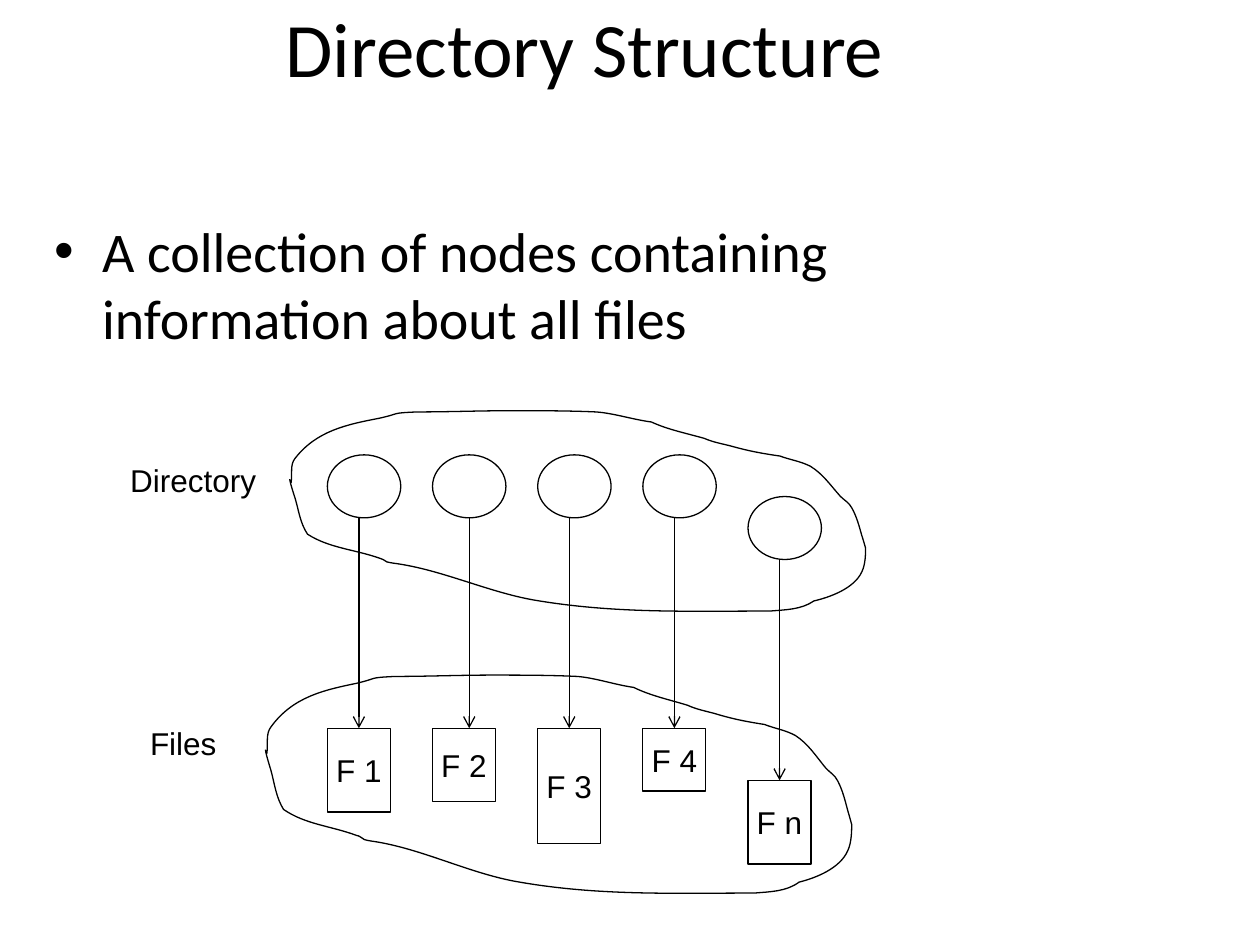
"""Build the Directory Structure slide."""
from dataclasses import dataclass

from lxml.etree import SubElement
from pptx import Presentation
from pptx.dml.color import RGBColor
from pptx.enum.shapes import MSO_CONNECTOR as Connector, MSO_SHAPE as Preset
from pptx.enum.text import MSO_ANCHOR as Anchor, MSO_AUTO_SIZE as AutoSize, PP_ALIGN as Align
from pptx.oxml.ns import qn
from pptx.util import Cm, Pt


@dataclass(frozen=True)
class Theme:
    ink: RGBColor = RGBColor(0, 0, 0)
    paper: RGBColor = RGBColor(255, 255, 255)
    heading_font: str = "Calibri"
    diagram_font: str = "Arial"
    title_size: Pt = Pt(44)
    body_size: Pt = Pt(32)
    diagram_size: Pt = Pt(18)
    stroke: Pt = Pt(0.75)


THEME = Theme()
FIRST_LEFT, PITCH = 6.6, 2.12
NODE_WIDTH, NODE_HEIGHT, FILE_WIDTH = 1.48, 1.27, 1.27
FILES = [
    ("F 1", 9.17, 14.68, 1.69),
    ("F 2", 9.17, 14.68, 1.48),
    ("F 3", 9.17, 14.68, 2.33),
    ("F 4", 9.17, 14.68, 1.27),
    ("F n", 10.01, 15.73, 1.69),
]
OFF_CENTRE_FILE = "F 2"
CLOUD_GRID = (458, 161)
CLOUD_START = (2, 57)
CLOUD_CURVES = [
    (3, 50, 1, 43, 5, 38), (22, 16, 46, 11, 72, 6), (90, 2, 80, 2, 102, 1),
    (127, 1, 152, 0, 177, 0), (199, 0, 222, 0, 244, 1), (258, 2, 273, 7, 288, 9),
    (301, 15, 316, 18, 330, 22), (337, 25, 343, 26, 351, 28), (365, 32, 376, 34, 390, 36),
    (398, 39, 406, 40, 414, 44), (424, 50, 430, 59, 438, 68), (441, 71, 445, 73, 447, 77),
    (451, 84, 453, 92, 455, 99), (456, 102, 458, 109, 458, 109),
    (458, 113, 458, 122, 455, 128), (449, 141, 430, 148, 417, 151),
    (407, 158, 394, 158, 382, 159), (318, 159, 261, 161, 199, 151),
    (160, 145, 122, 126, 83, 121), (81, 121, 79, 120, 78, 120),
    (76, 119, 74, 117, 72, 117), (52, 110, 32, 109, 15, 98), (9, 89, 8, 79, 5, 69),
    (5, 69, 1, 57, 1, 55), (0, 54, 2, 56, 2, 57),
]


def place(shape, left, top, width, height):
    shape.left, shape.top, shape.width, shape.height = map(Cm, (left, top, width, height))


def write(frame, text, font, size, align):
    frame.text = text
    paragraph = frame.paragraphs[0]
    paragraph.alignment = align
    style = paragraph.runs[0].font
    style.name, style.size = font, size
    style.color.rgb = THEME.ink


def write_centred(frame, text):
    frame.word_wrap = False
    frame.vertical_anchor = Anchor.MIDDLE
    write(frame, text, THEME.diagram_font, THEME.diagram_size, Align.CENTER)


def draw_stroke(item):
    item.line.color.rgb = THEME.ink
    item.line.width = THEME.stroke


def add_outlined(shapes, preset, left, top, width, height):
    outlined = shapes.add_shape(preset, *map(Cm, (left, top, width, height)))
    outlined.shadow.inherit = False
    outlined.fill.solid()
    outlined.fill.fore_color.rgb = THEME.paper
    draw_stroke(outlined)
    return outlined


def add_arrow(shapes, x, top, bottom):
    arrow = shapes.add_connector(Connector.STRAIGHT, Cm(x), Cm(top), Cm(x), Cm(bottom))
    draw_stroke(arrow)
    properties = arrow._element.spPr
    SubElement(properties.find(qn("a:ln")), qn("a:tailEnd"), type="arrow")
    SubElement(properties, qn("a:effectLst"))
    return arrow


def curve_segments(freeform):
    outline = next(freeform._element.iter(qn("a:path")))
    segments = outline.findall(qn("a:lnTo"))
    for first in range(0, len(segments), 3):
        curve = SubElement(outline, qn("a:cubicBezTo"))
        for segment in segments[first:first + 3]:
            curve.append(segment[0])
            outline.remove(segment)
    outline.append(outline.find(qn("a:close")))


def add_cloud(shapes, left, top, width, height):
    columns, rows = CLOUD_GRID
    pairs = [pair for curve in CLOUD_CURVES for pair in zip(curve[::2], curve[1::2])]
    start, *rest = [
        (Cm(left + x * width / columns), Cm(top + y * height / rows))
        for x, y in [CLOUD_START, *pairs]
    ]
    builder = shapes.build_freeform(*start)
    builder.add_line_segments(rest, close=True)
    cloud = builder.convert_to_shape()
    curve_segments(cloud)
    cloud.shadow.inherit = False
    cloud.fill.background()
    draw_stroke(cloud)


def add_label(shapes, text, left, top, width, height):
    label = shapes.add_textbox(*map(Cm, (left, top, width, height)))
    write_centred(label.text_frame, text)
    label.text_frame.auto_size = AutoSize.SHAPE_TO_FIT_TEXT


def add_diagram(shapes):
    lefts = [FIRST_LEFT + PITCH * column for column in range(len(FILES))]
    for left, (_, node_top, _, _) in zip(lefts, FILES):
        add_outlined(shapes, Preset.OVAL, left, node_top, NODE_WIDTH, NODE_HEIGHT)
    boxes = []
    for left, (name, _, file_top, height) in zip(lefts, FILES):
        box = add_outlined(shapes, Preset.RECTANGLE, left, file_top, FILE_WIDTH, height)
        write_centred(box.text_frame, name)
        boxes.append(box)
    for left, box, (name, node_top, file_top, _) in zip(lefts, boxes, FILES):
        off_centre = name == OFF_CENTRE_FILE
        x = left + (NODE_WIDTH if off_centre else FILE_WIDTH) / 2
        arrow = add_arrow(shapes, x, node_top + NODE_HEIGHT, file_top)
        if not off_centre:
            arrow.end_connect(box, 0)
    add_cloud(shapes, 5.82, 8.28, 11.63, 4.09)
    add_cloud(shapes, 5.33, 13.61, 11.84, 4.45)
    add_label(shapes, "Directory", 2.37, 9.17, 3.05, 1.02)
    add_label(shapes, "Files", 2.77, 14.46, 1.85, 1.02)


def main():
    deck = Presentation()
    deck.slide_width, deck.slide_height = Cm(25.4), Cm(19.05)
    slide = deck.slides.add_slide(deck.slide_layouts[1])
    title, body = slide.placeholders
    place(title, 1.31, -0.87, 20.96, 3.61)
    title.text_frame.vertical_anchor = Anchor.MIDDLE
    write(title.text_frame, "Directory Structure",
          THEME.heading_font, THEME.title_size, Align.CENTER)
    place(body, 0.85, 4.24, 21.29, 2.74)
    write(body.text_frame, "A collection of nodes containing information about all files",
          THEME.heading_font, THEME.body_size, Align.LEFT)
    add_diagram(slide.shapes.add_group_shape().shapes)
    deck.save("out.pptx")


if __name__ == "__main__":
    main()
